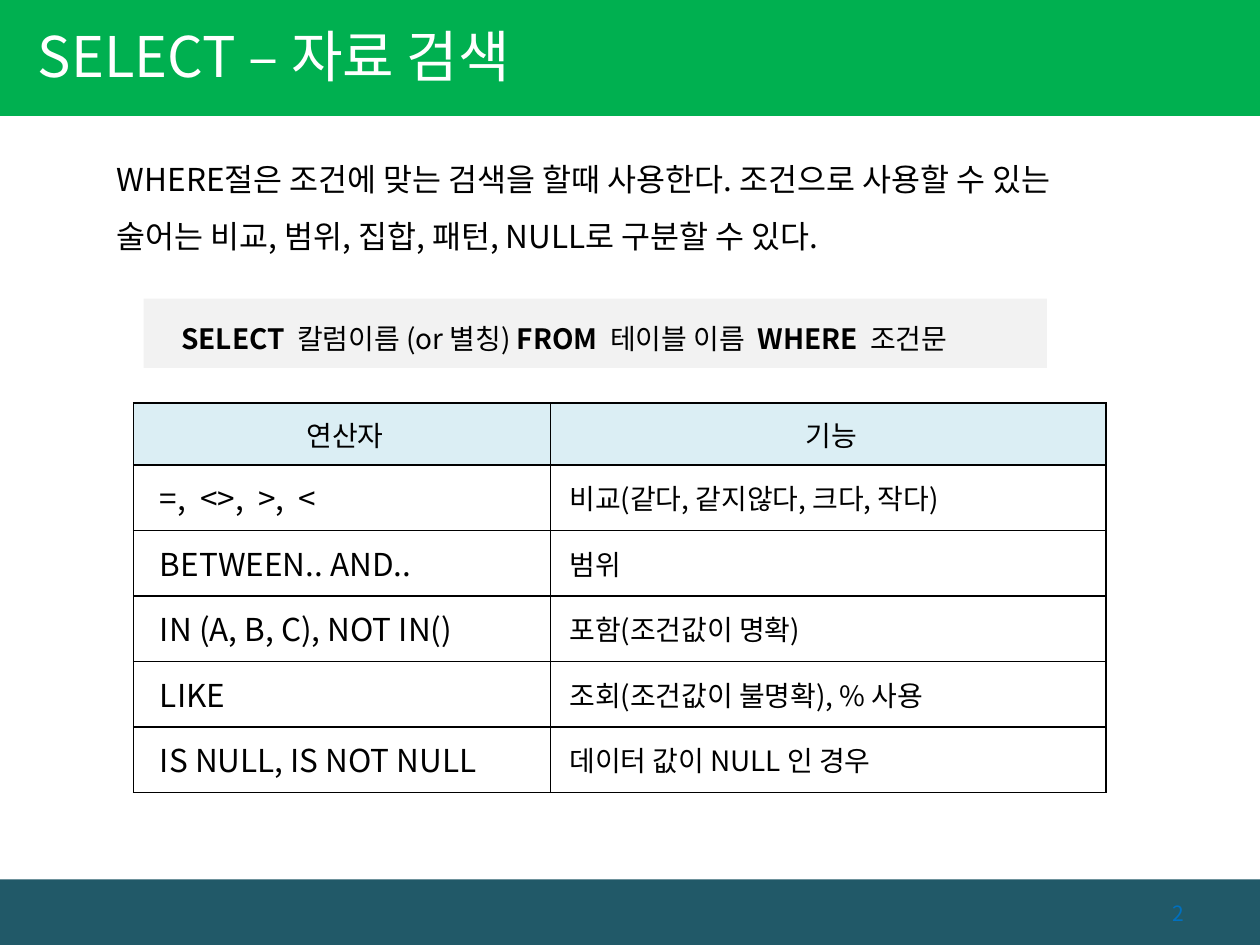
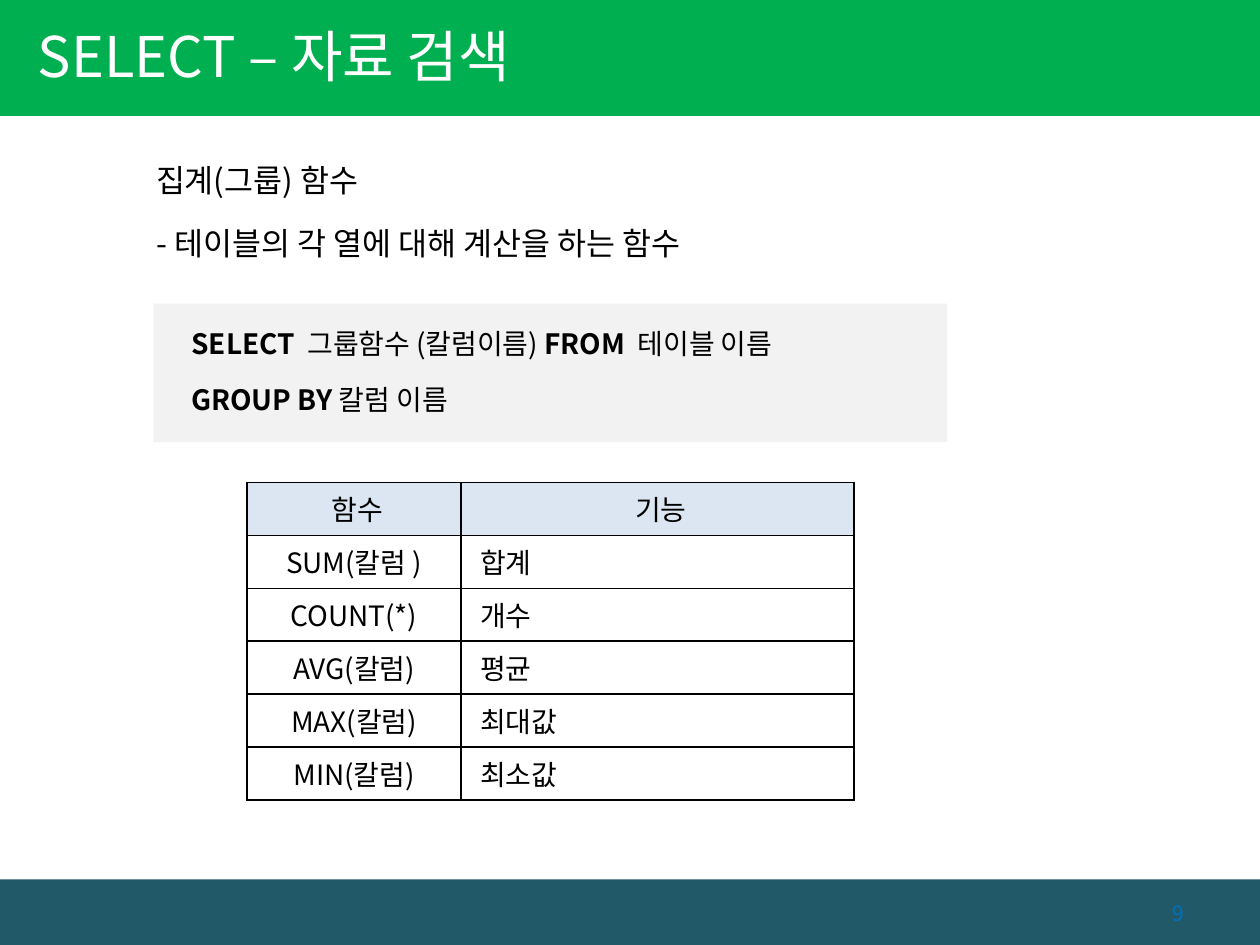
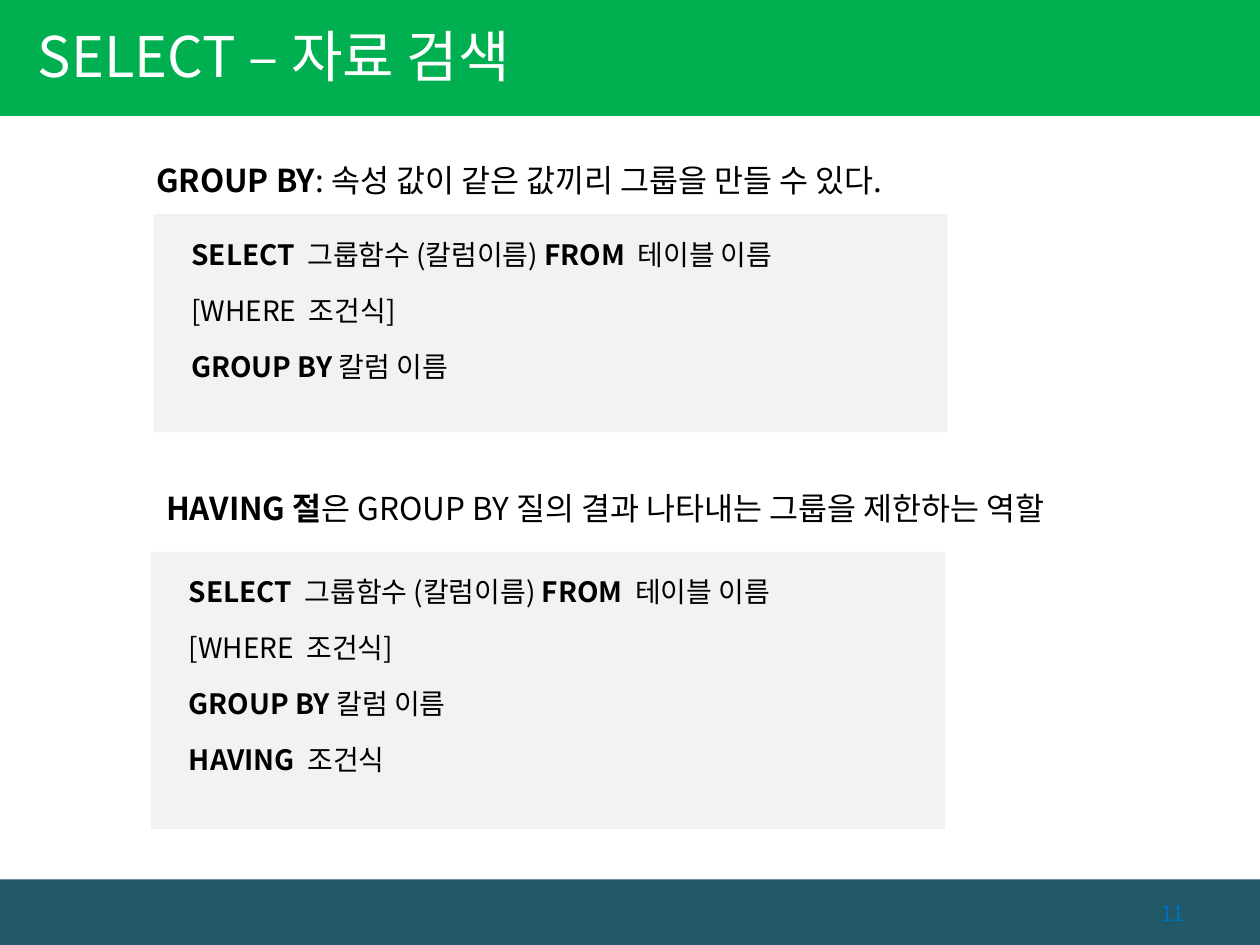
from lxml import etree
from pptx import Presentation
from pptx.dml.color import RGBColor
from pptx.enum.shapes import MSO_SHAPE
from pptx.enum.text import MSO_ANCHOR, PP_ALIGN
from pptx.oxml.ns import qn
from pptx.util import Inches, Pt

RECTANGLE = MSO_SHAPE.RECTANGLE
TOP, MIDDLE = MSO_ANCHOR.TOP, MSO_ANCHOR.MIDDLE
LEFT, CENTER, RIGHT = PP_ALIGN.LEFT, PP_ALIGN.CENTER, PP_ALIGN.RIGHT

FONT = "Noto Sans CJK KR"
BLACK = RGBColor(0x00, 0x00, 0x00)
WHITE = RGBColor(0xFF, 0xFF, 0xFF)
GREEN = RGBColor(0x00, 0xB0, 0x50)
TEAL = RGBColor(0x21, 0x59, 0x68)
BLUE = RGBColor(0x00, 0x70, 0xC0)
GRAY = RGBColor(0xF2, 0xF2, 0xF2)
PALE_AQUA = RGBColor(0xDB, 0xEE, 0xF4)
PALE_BLUE = RGBColor(0xDC, 0xE6, 0xF2)

LINE_HEIGHT = 1.2
GROUP_SELECT = "**SELECT  **그룹함수 (칼럼이름) **FROM  **테이블 이름"
WHERE_CLAUSE = "[WHERE  조건식]"
GROUP_BY = "**GROUP BY **칼럼 이름"


def format_span(span, size, color, bold):
    span.font.size = Pt(size)
    span.font.color.rgb = color
    span.font.bold = bold
    span.font.name = FONT
    east_asian = etree.SubElement(span.font._element, qn("a:ea"))
    east_asian.set("typeface", FONT)


def write_lines(frame, lines, size, color=BLACK, align=LEFT, spacing=1, before=0):
    """Text between double asterisks is bold."""
    for index, line in enumerate(lines):
        para = frame.paragraphs[0] if index == 0 else frame.add_paragraph()
        para.alignment = align
        para.line_spacing = Pt(size * LINE_HEIGHT * spacing)
        para.space_before = Pt(before if index else 0)
        for part, text in enumerate(line.split("**")):
            if text:
                span = para.add_run()
                span.text = text
                format_span(span, size, color, part % 2 == 1)


def set_frame(frame, indent=0.1, anchor=TOP):
    frame.word_wrap = True
    frame.vertical_anchor = anchor
    frame.margin_left = Inches(indent)
    frame.margin_top = Inches(0.05)


def add_text(page, left, top, width, height, lines, size=18, indent=0.1, anchor=TOP, **style):
    box = page.shapes.add_textbox(Inches(left), Inches(top), Inches(width), Inches(height))
    set_frame(box.text_frame, indent, anchor)
    write_lines(box.text_frame, lines, size, **style)


def add_band(page, left, top, width, height, fill):
    band = page.shapes.add_shape(RECTANGLE, Inches(left), Inches(top), Inches(width), Inches(height))
    band.shadow.inherit = False
    band.fill.solid()
    band.fill.fore_color.rgb = fill
    band.line.fill.background()
    return band


def add_syntax(page, left, top, width, height, lines):
    band = add_band(page, left, top, width, height, GRAY)
    set_frame(band.text_frame, indent=0.3)
    write_lines(band.text_frame, lines, 16, spacing=1.5, before=3.2)


def add_borders(cell):
    properties = cell._tc.get_or_add_tcPr()
    for index, side in enumerate(("lnL", "lnR", "lnT", "lnB")):
        border = etree.Element(qn(f"a:{side}"), w=str(Pt(1)))
        fill = etree.SubElement(border, qn("a:solidFill"))
        etree.SubElement(fill, qn("a:srgbClr"), val=str(BLACK))
        properties.insert(index, border)


def add_grid(page, left, top, widths, heights, rows, header_fill, key_size, key_indent, key_align):
    frame = page.shapes.add_table(len(rows), len(widths), Inches(left), Inches(top),
                                  Inches(sum(widths)), Inches(sum(heights)))
    table = frame.table
    table.first_row = table.horz_banding = False
    for column, width in zip(table.columns, widths):
        column.width = Inches(width)
    for row, height in zip(table.rows, heights):
        row.height = Inches(height)
    for row_index, texts in enumerate(rows):
        for column_index, text in enumerate(texts):
            cell = table.cell(row_index, column_index)
            cell.vertical_anchor = MIDDLE
            cell.margin_top = Inches(0.1)
            size, indent, align = 16, 0.15, LEFT
            if row_index == 0:
                cell.fill.solid()
                cell.fill.fore_color.rgb = header_fill
                align = CENTER
            else:
                cell.fill.background()
                if column_index == 0:
                    size, indent, align = key_size, key_indent, key_align
            cell.margin_left = Inches(indent)
            write_lines(cell.text_frame, [text], size, align=align)
            add_borders(cell)


def add_page(deck, number):
    page = deck.slides.add_slide(deck.slide_layouts[6])
    add_band(page, 0, 6.98, 10, 0.52, TEAL)
    add_band(page, 0, 0, 10, 0.92, GREEN)
    add_text(page, 0, -0.02, 6.26, 0.92, ["SELECT – 자료 검색"], size=32, indent=0.3,
             anchor=MIDDLE, color=WHITE)
    add_text(page, 7.17, 7.05, 2.33, 0.4, [str(number)], size=12, anchor=MIDDLE,
             color=BLUE, align=RIGHT)
    return page


def build_where(deck):
    page = add_page(deck, 2)
    add_syntax(page, 1.14, 2.37, 7.17, 0.55,
               ["**SELECT  **칼럼이름 (or 별칭) **FROM  **테이블 이름  **WHERE  **조건문"])
    add_text(page, 0.83, 1.07, 8.2, 1.57,
             ["WHERE절은 조건에 맞는 검색을 할때 사용한다. 조건으로 사용할 수 있는 "
              "술어는 비교, 범위, 집합, 패턴, NULL로 구분할 수 있다."], spacing=1.5)
    operators = [
        ("연산자", "기능"),
        ("=,  <>,  >,  <", "비교(같다, 같지않다, 크다, 작다)"),
        ("BETWEEN.. AND..", "범위"),
        ("IN (A, B, C), NOT IN()", "포함(조건값이 명확)"),
        ("LIKE", "조회(조건값이 불명확), % 사용"),
        ("IS NULL, IS NOT NULL", "데이터 값이 NULL 인 경우"),
    ]
    add_grid(page, 1.06, 3.2, [3.31, 4.41], [0.49] + [0.52] * 5, operators,
             PALE_AQUA, key_size=18, key_indent=0.21, key_align=LEFT)


def build_aggregates(deck):
    page = add_page(deck, 9)
    add_text(page, 1.14, 1.23, 2.44, 0.4, ["집계(그룹) 함수"])
    add_text(page, 1.14, 1.73, 5.51, 0.4, ["- 테이블의 각 열에 대해 계산을 하는 함수"])
    add_syntax(page, 1.22, 2.41, 6.3, 1.1, [GROUP_SELECT, GROUP_BY])
    functions = [
        ("함수", "기능"),
        ("SUM(칼럼 )", "합계"),
        ("COUNT(*)", "개수"),
        ("AVG(칼럼)", "평균"),
        ("MAX(칼럼)", "최대값"),
        ("MIN(칼럼)", "최소값"),
    ]
    add_grid(page, 1.96, 3.83, [1.7, 3.12], [0.42] * 6, functions,
             PALE_BLUE, key_size=16, key_indent=0.1, key_align=CENTER)


def build_grouping(deck):
    page = add_page(deck, 11)
    add_text(page, 1.14, 1.23, 8.03, 0.4,
             ["**GROUP BY**: 속성 값이 같은 값끼리 그룹을 만들 수 있다."])
    grouping = [GROUP_SELECT, WHERE_CLAUSE, GROUP_BY]
    add_syntax(page, 1.22, 1.7, 6.3, 1.73, grouping)
    add_syntax(page, 1.2, 4.38, 6.3, 2.2, grouping + ["**HAVING  **조건식"])
    add_text(page, 1.22, 3.83, 8.11, 0.4,
             ["**HAVING 절**은 GROUP BY 질의 결과 나타내는 그룹을 제한하는 역할"])


def main():
    deck = Presentation()
    deck.slide_width, deck.slide_height = Inches(10), Inches(7.5)
    build_where(deck)
    build_aggregates(deck)
    build_grouping(deck)
    deck.save("out.pptx")


if __name__ == "__main__":
    main()
